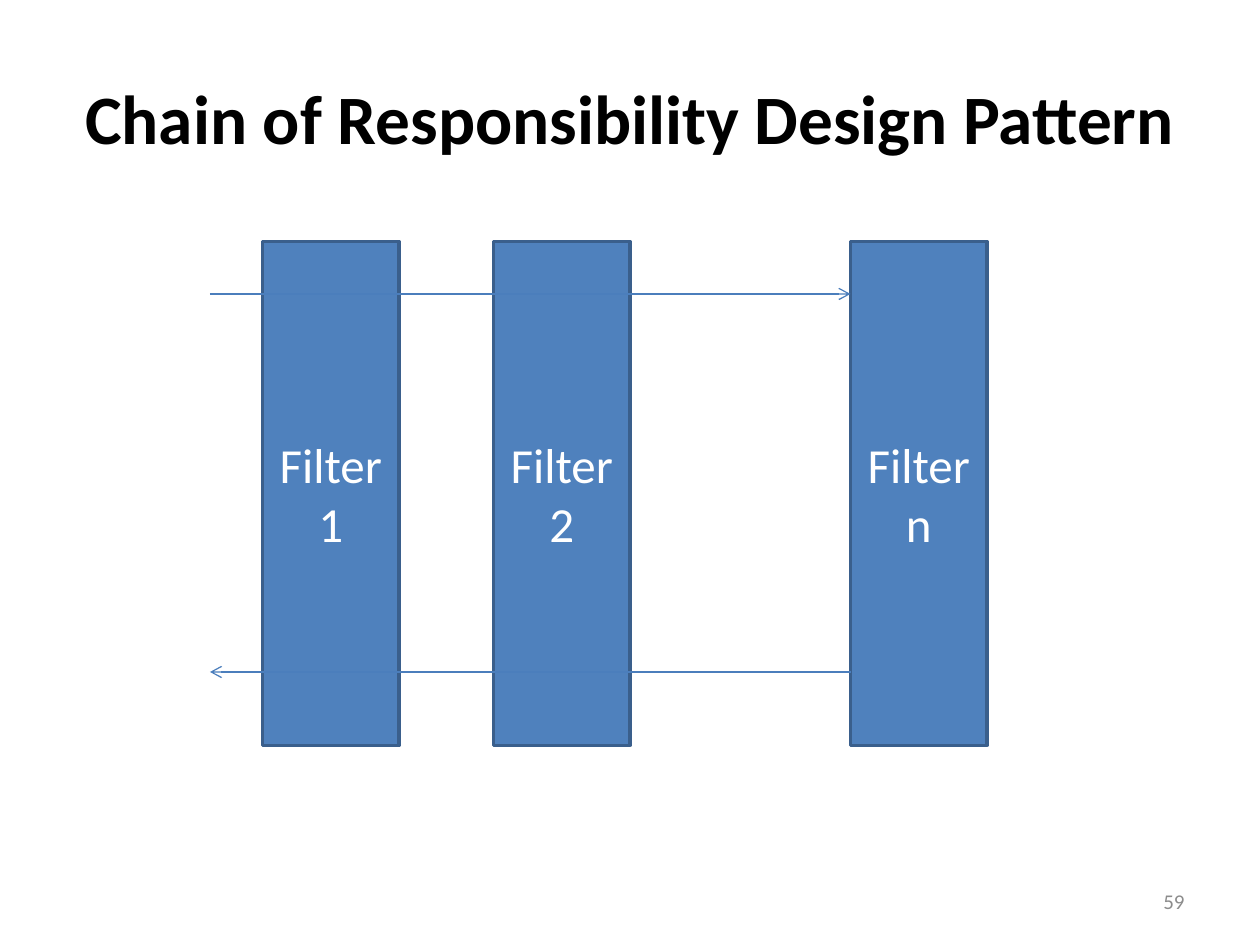
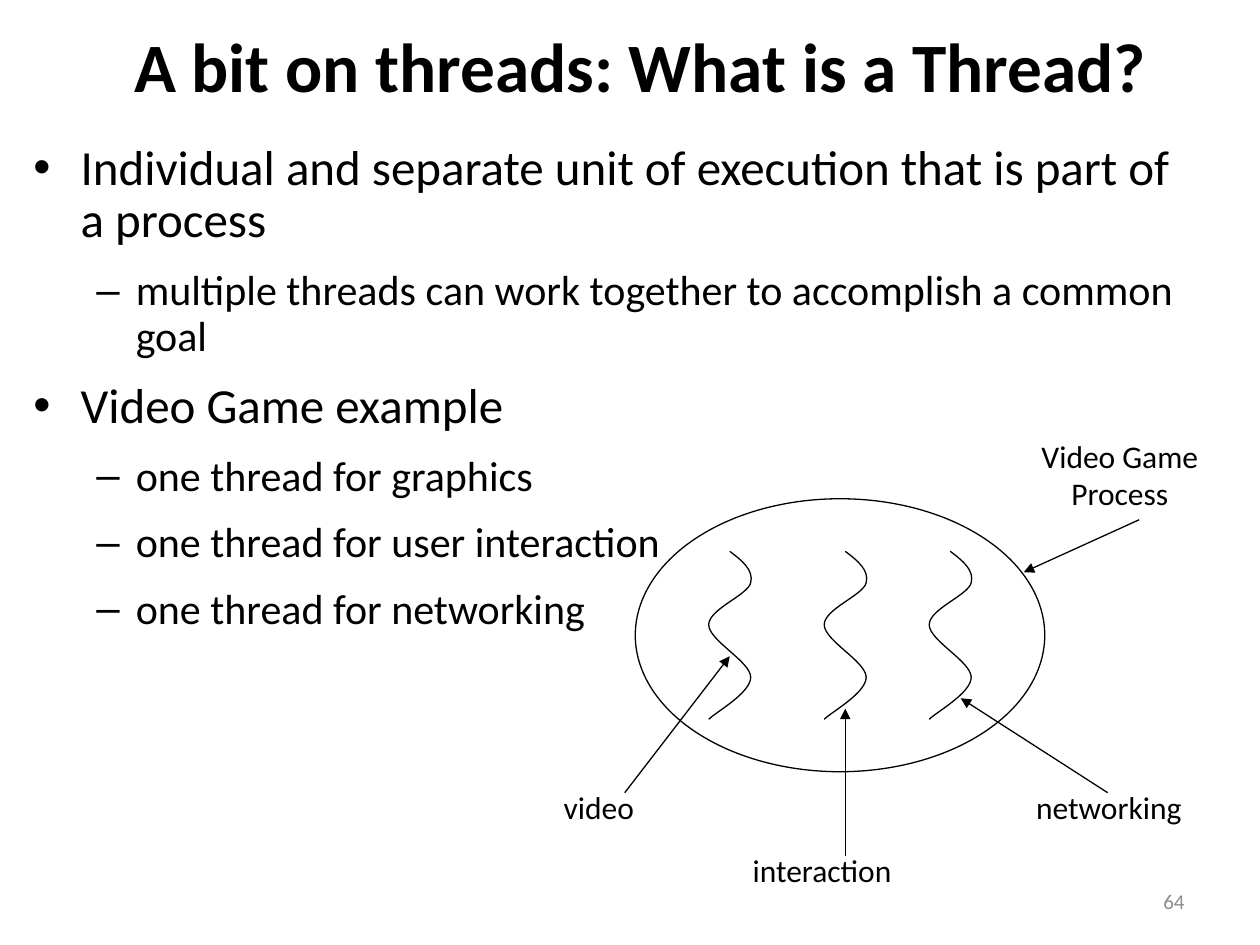
import pptx
import pptx.util
import pptx.dml.color
import pptx.enum.shapes
import pptx.enum.text
import pptx.oxml.ns
from lxml import etree

RGBColor = pptx.dml.color.RGBColor
Pt = pptx.util.Pt
MSO_SHAPE = pptx.enum.shapes.MSO_SHAPE
ALIGN = pptx.enum.text.PP_ALIGN
ANCHOR = pptx.enum.text.MSO_ANCHOR
AUTO_SIZE = pptx.enum.text.MSO_AUTO_SIZE
qn = pptx.oxml.ns.qn

PX = 7620  # EMU per px, 120 px to the inch
FONT = "Calibri"
BLACK = RGBColor(0x00, 0x00, 0x00)
WHITE = RGBColor(0xFF, 0xFF, 0xFF)
GREY = RGBColor(0x8C, 0x8C, 0x8C)
BLUE = RGBColor(0x4F, 0x81, 0xBD)
DARK_BLUE = RGBColor(0x3A, 0x5F, 0x8C)
ARROW_BLUE = RGBColor(0x4B, 0x7E, 0xBC)

# Bullet character, left edge of text, hanging indent and size of each level, in points
LEVELS = [("•", 27, 27, 28), ("–", 58.5, 22.5, 24)]

# Bezier control points of a thread, three to a segment, in px from its top end
THREAD = [
    (12, 9), (23, 18), (20, 30),
    (17, 42), (-20, 55), (-20, 70),
    (-20, 85), (20, 105), (20, 120),
    (20, 135), (-13, 153), (-20, 160),
]


def emu(*lengths):
    return [v * PX for v in lengths]


def write(p, text, size=18, color=BLACK, bold=False, align=ALIGN.LEFT):
    p.alignment = align
    r = p.add_run()
    r.text = text
    r.font.name = FONT
    r.font.size = Pt(size)
    r.font.bold = bold
    r.font.color.rgb = color


def bend(sp):
    """Turn each three line segments of a freeform into one cubic Bezier."""
    lines = list(sp._element.iter(qn("a:lnTo")))
    for i in range(0, len(lines), 3):
        curve = etree.Element(qn("a:cubicBezTo"))
        lines[i].addprevious(curve)
        for line in lines[i:i + 3]:
            curve.append(line[0])
            line.getparent().remove(line)


class Deck:
    def __init__(self):
        self.prs = pptx.Presentation()
        self.prs.slide_width, self.prs.slide_height = emu(1200, 900)
        self.s = None

    def slide(self, title, title_box, number):
        self.s = self.prs.slides.add_slide(self.prs.slide_layouts[6])
        self.text(title_box, [title], size=39.6, bold=True, align=ALIGN.CENTER)
        self.text((860, 834, 280, 48), [str(number)], size=12, color=GREY, align=ALIGN.RIGHT)

    def frame(self, box, anchor=ANCHOR.TOP):
        tf = self.s.shapes.add_textbox(*emu(*box)).text_frame
        tf.word_wrap = True
        tf.vertical_anchor = anchor
        return tf

    def text(self, box, lines, anchor=ANCHOR.MIDDLE, **style):
        tf = self.frame(box, anchor)
        for i, line in enumerate(lines):
            write(tf.add_paragraph() if i else tf.paragraphs[0], line, **style)
        return tf

    def label(self, box, *lines, align=ALIGN.LEFT):
        tf = self.text(box, lines, ANCHOR.TOP, align=align)
        tf.word_wrap = False
        tf.auto_size = AUTO_SIZE.SHAPE_TO_FIT_TEXT

    def bullets(self, box, items):
        tf = self.frame(box)
        for i, (level, line) in enumerate(items):
            char, left, hang, size = LEVELS[level]
            p = tf.add_paragraph() if i else tf.paragraphs[0]
            p.level = level
            p.line_spacing = 0.9
            p.space_before = p.space_after = Pt(6)
            write(p, line, size=size)
            pPr = p._p.get_or_add_pPr()
            pPr.set("marL", str(Pt(left)))
            pPr.set("indent", str(-Pt(hang)))
            etree.SubElement(pPr, qn("a:buFont")).set("typeface", "Arial")
            etree.SubElement(pPr, qn("a:buChar")).set("char", char)

    def outline(self, sp, color=BLACK, width=0.75, fill=None):
        sp.shadow.inherit = False
        sp.line.color.rgb = color
        sp.line.width = Pt(width)
        if fill is None:
            sp.fill.background()
        else:
            sp.fill.solid()
            sp.fill.fore_color.rgb = fill

    def ellipse(self, box):
        self.outline(self.s.shapes.add_shape(MSO_SHAPE.OVAL, *emu(*box)))

    def filter_box(self, box, label):
        sp = self.s.shapes.add_shape(MSO_SHAPE.RECTANGLE, *emu(*box))
        self.outline(sp, DARK_BLUE, 2, BLUE)
        tf = sp.text_frame
        tf.word_wrap = True
        tf.vertical_anchor = ANCHOR.MIDDLE
        write(tf.paragraphs[0], label, size=28, color=WHITE, align=ALIGN.CENTER)

    def thread(self, x, y):
        builder = self.s.shapes.build_freeform(x, y, scale=PX)
        builder.add_line_segments([(x + dx, y + dy) for dx, dy in THREAD], close=False)
        sp = builder.convert_to_shape()
        bend(sp)
        self.outline(sp)

    def arrow(self, start, end, color=BLACK, head="triangle"):
        line = self.s.shapes.add_connector(
            pptx.enum.shapes.MSO_CONNECTOR.STRAIGHT, *emu(*start, *end))
        line.line.color.rgb = color
        line.line.width = Pt(0.75)
        spPr = line._element.spPr
        etree.SubElement(spPr.find(qn("a:ln")), qn("a:tailEnd")).set("type", head)
        etree.SubElement(spPr, qn("a:effectLst"))


def chain_slide(deck):
    deck.slide("Chain of Responsibility Design Pattern", (60, 36, 1080, 150), 59)
    for x, name in ((250, "1"), (470, "2"), (810, "n")):
        deck.filter_box((x, 230, 130, 480), f"Filter {name}")
    deck.arrow((200, 280), (810, 280), ARROW_BLUE, "arrow")
    deck.arrow((810, 640), (200, 640), ARROW_BLUE, "arrow")


def thread_slide(deck):
    deck.slide("A bit on threads: What is a Thread?", (70, 10, 1080, 104), 64)
    deck.bullets((20, 130, 1120, 410), [
        (0, "Individual and separate unit of execution that is part of a process"),
        (1, "multiple threads can work together to accomplish a common goal"),
        (0, "Video Game example"),
        (1, "one thread for graphics"),
        (1, "one thread for user interaction"),
        (1, "one thread for networking"),
    ])
    deck.ellipse((605, 475, 390, 260))
    for x in (695, 805, 905):
        deck.thread(x, 525)
    for name, box, start, end in (
        ("video", (525, 745, 112, 60), (595, 755), (695, 625)),
        ("interaction", (705, 805, 194, 60), (805, 815), (805, 675)),
        ("networking", (975, 745, 206, 60), (1055, 755), (915, 665)),
    ):
        deck.label(box, name)
        deck.arrow(start, end)
    deck.label((953, 410, 227, 108), "Video Game", "Process", align=ALIGN.CENTER)
    deck.arrow((1085, 495), (975, 545))


def main():
    deck = Deck()
    chain_slide(deck)
    thread_slide(deck)
    deck.prs.save("out.pptx")


if __name__ == "__main__":
    main()
